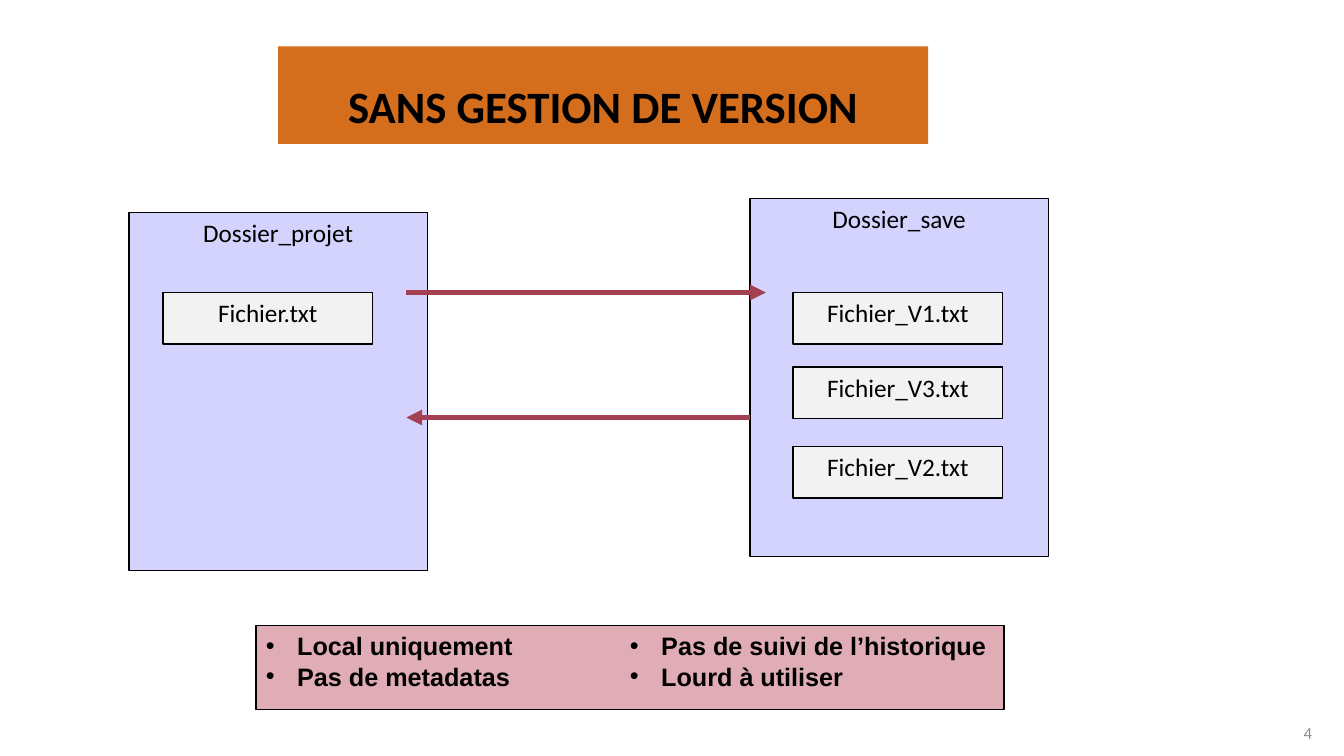
"""Build the slide comparing a project folder with its manual backup folder."""
from lxml import etree
from pptx import Presentation
from pptx import util as u
from pptx.dml.color import RGBColor
from pptx.enum import shapes, text
from pptx.oxml.ns import qn

ORANGE = RGBColor(0xD4, 0x6D, 0x1C)
LAVENDER = RGBColor(0xD3, 0xD3, 0xFE)
LIGHT_GREY = RGBColor(0xF2, 0xF2, 0xF2)
PINK = RGBColor(0xE0, 0xAD, 0xB7)
CRIMSON = RGBColor(0xA5, 0x3F, 0x52)
GREY = RGBColor(0x8C, 0x8C, 0x8C)
BLACK = RGBColor(0, 0, 0)

FOLDER_SIZE = (7.52, 9.02)
FILE_SIZE = (5.28, 1.3)
FILE_TOP = 7.37


def add_run(p, words, size=18, font="Calibri", color=BLACK, bold=False):
    """Append one formatted run to a paragraph."""
    r = p.add_run()
    r.text = words
    r.font.size = u.Pt(size)
    r.font.name = font
    r.font.color.rgb = color
    r.font.bold = bold


def add_box(s, left, top, width, height, fill, outlined=True):
    """Add a filled rectangle and return its text frame."""
    sp = s.shapes.add_shape(shapes.MSO_SHAPE.RECTANGLE,
                            u.Cm(left), u.Cm(top), u.Cm(width), u.Cm(height))
    sp.shadow.inherit = False
    sp.fill.solid()
    sp.fill.fore_color.rgb = fill
    if outlined:
        sp.line.color.rgb = BLACK
        sp.line.width = u.Pt(1)
    else:
        sp.line.fill.background()
    tf = sp.text_frame
    tf.word_wrap = True
    tf.vertical_anchor = text.MSO_ANCHOR.TOP
    return tf


def add_label(s, left, top, size, fill, words):
    """Add an outlined rectangle with a centred label."""
    p = add_box(s, left, top, *size, fill).paragraphs[0]
    p.alignment = text.PP_ALIGN.CENTER
    add_run(p, words)


def add_title(s, words):
    """Add the title banner."""
    p = add_box(s, 7.01, 1.17, 16.38, 2.46, ORANGE, outlined=False).paragraphs[0]
    p.alignment = text.PP_ALIGN.CENTER
    p.line_spacing = 1.5
    p.space_before = u.Pt(10)
    add_run(p, words, size=32, bold=True)


def add_arrow(s, start, end, y):
    """Add a horizontal arrow pointing at its end."""
    line = s.shapes.add_connector(shapes.MSO_CONNECTOR.STRAIGHT,
                                  u.Cm(start), u.Cm(y), u.Cm(end), u.Cm(y))
    line.line.color.rgb = CRIMSON
    line.line.width = u.Pt(3.75)
    etree.SubElement(line.line._get_or_add_ln(), qn("a:tailEnd"), type="triangle")
    etree.SubElement(line._element.spPr, qn("a:effectLst"))


def add_drawbacks(s, items):
    """Add the bulleted list of drawbacks in two columns."""
    tf = add_box(s, 6.45, 15.77, 18.85, 2.11, PINK)
    tf._txBody.bodyPr.set("numCol", "2")
    for i, item in enumerate(items):
        p = tf.add_paragraph() if i else tf.paragraphs[0]
        p.alignment = text.PP_ALIGN.LEFT
        pPr = p._p.get_or_add_pPr()
        indent = u.Cm(0.79)
        pPr.set("marL", str(indent))
        pPr.set("indent", str(-indent))
        etree.SubElement(pPr, qn("a:buFont"), typeface="Arial")
        etree.SubElement(pPr, qn("a:buChar"), char="•")
        add_run(p, item, font="Arial", bold=True)


def add_page_number(s, number):
    """Add the page number at the bottom right."""
    tf = s.shapes.add_textbox(u.Cm(32.08), u.Cm(17.96), u.Cm(1.24), u.Cm(1.02)).text_frame
    tf.word_wrap = True
    tf.vertical_anchor = text.MSO_ANCHOR.MIDDLE
    p = tf.paragraphs[0]
    p.alignment = text.PP_ALIGN.RIGHT
    add_run(p, number, size=12, color=GREY)


def main():
    """Build and save the presentation."""
    prs = Presentation()
    prs.slide_width, prs.slide_height = u.Cm(33.87), u.Cm(19.05)
    s = prs.slides.add_slide(prs.slide_layouts[6])
    add_page_number(s, "4")
    add_title(s, "SANS GESTION DE VERSION")
    add_label(s, 3.25, 5.36, FOLDER_SIZE, LAVENDER, "Dossier_projet")
    add_label(s, 4.11, FILE_TOP, FILE_SIZE, LIGHT_GREY, "Fichier.txt")
    add_label(s, 18.9, 5, FOLDER_SIZE, LAVENDER, "Dossier_save")
    for version, top in ((1, FILE_TOP), (3, 9.25), (2, 11.25)):
        add_label(s, 19.99, top, FILE_SIZE, LIGHT_GREY, f"Fichier_V{version}.txt")
    add_drawbacks(s, ("Local uniquement", "Pas de metadatas",
                      "Pas de suivi de l’historique", "Lourd à utiliser"))
    add_arrow(s, 10.24, 19.3, FILE_TOP)
    add_arrow(s, 18.9, 10.24, 10.52)
    prs.save("out.pptx")


if __name__ == "__main__":
    main()
